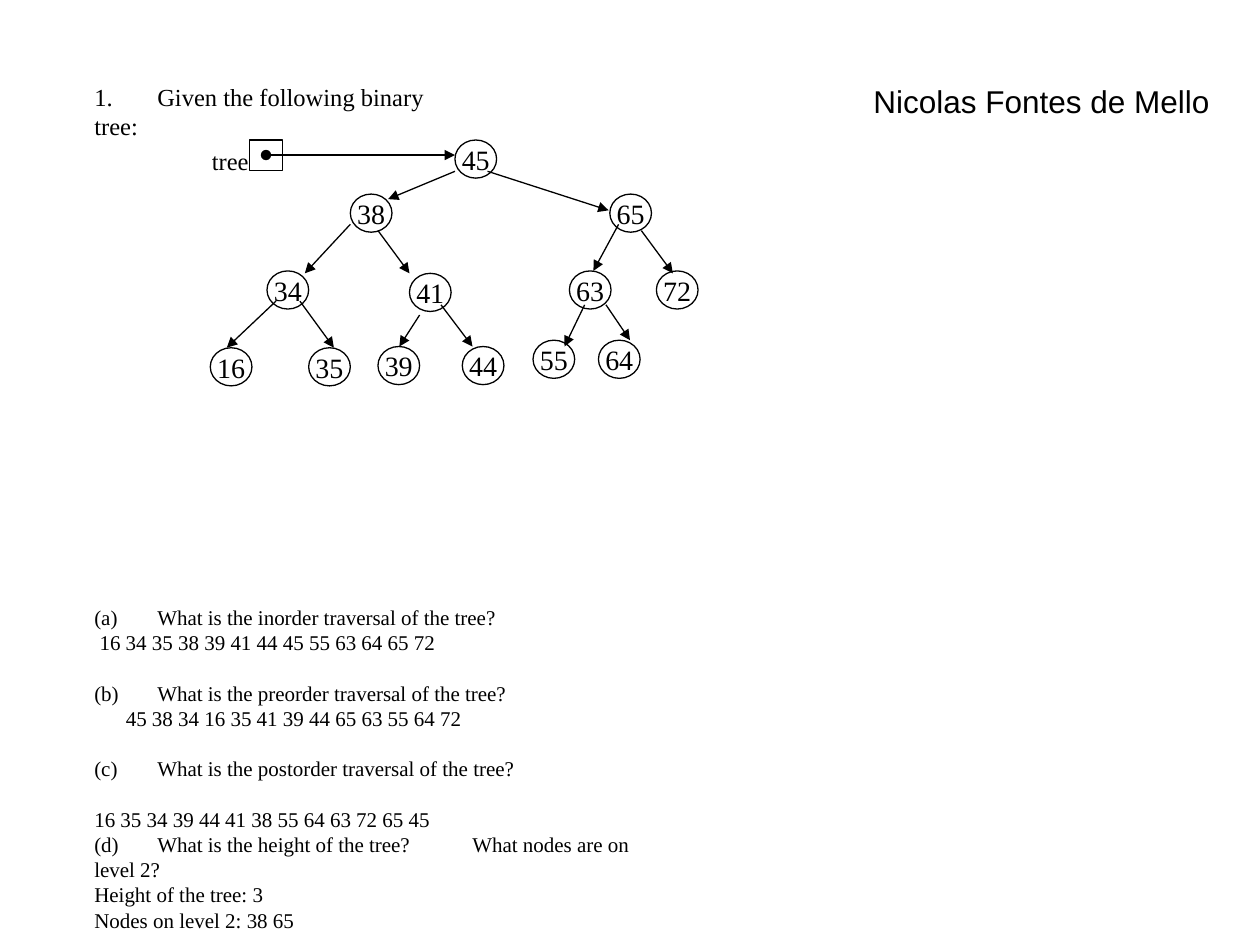
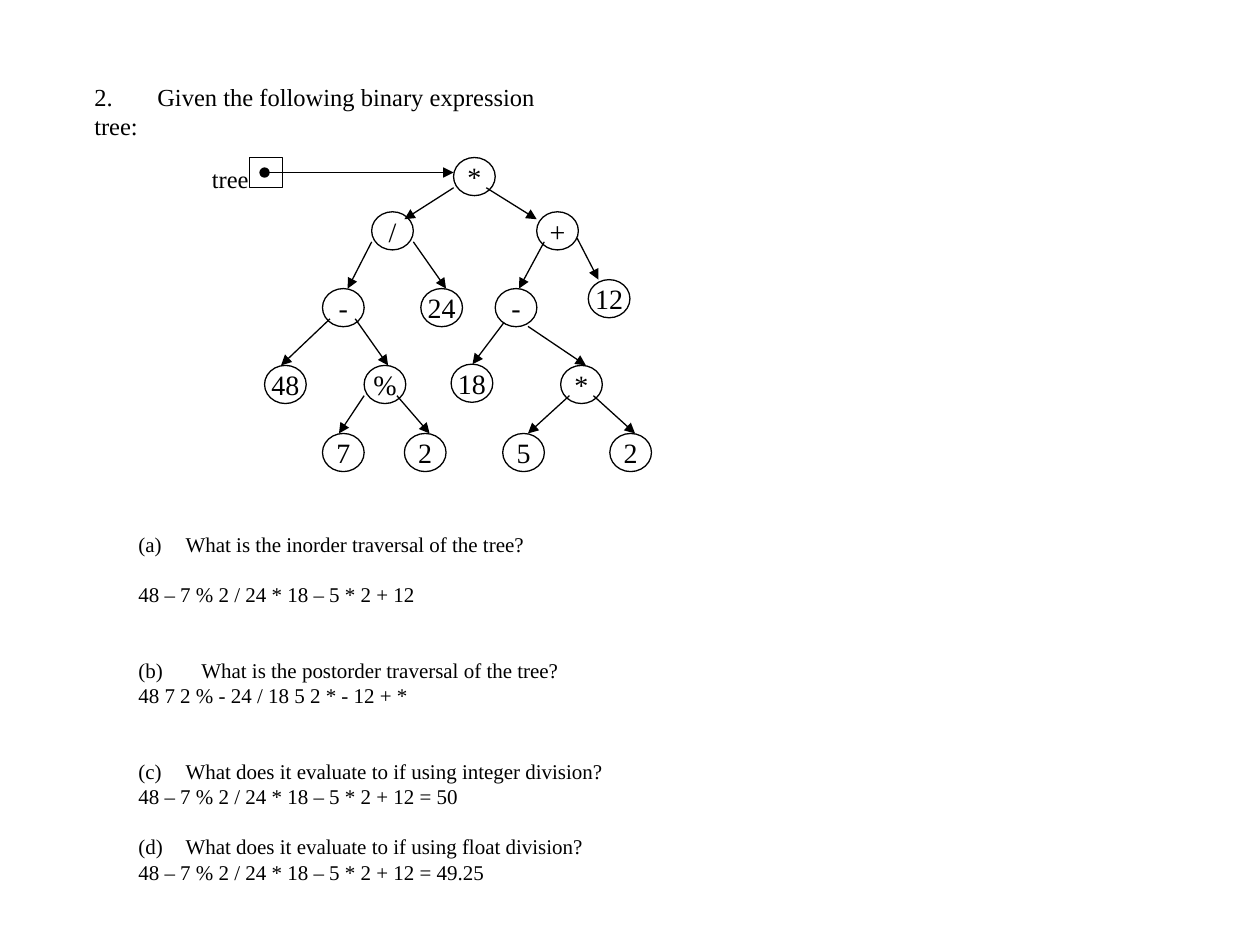
from lxml import etree
from pptx import Presentation
from pptx.dml.color import RGBColor
from pptx.enum.shapes import MSO_CONNECTOR, MSO_SHAPE
from pptx.enum.text import MSO_ANCHOR, PP_ALIGN
from pptx.oxml.ns import qn
from pptx.util import Pt

LEFT, CENTER = PP_ALIGN.LEFT, PP_ALIGN.CENTER
TOP, MIDDLE = MSO_ANCHOR.TOP, MSO_ANCHOR.MIDDLE
OVAL, RECTANGLE = MSO_SHAPE.OVAL, MSO_SHAPE.RECTANGLE
STRAIGHT = MSO_CONNECTOR.STRAIGHT

BLACK, WHITE = "000000", "FFFFFF"
SERIF, SANS = "Times New Roman", "Arial"
TITLE_SIZE, NODE_SIZE, BODY_SIZE, NAME_SIZE = 14, 16, 12, 18
LEADING = 1.2  # line height as a share of the text size
ROW = BODY_SIZE * LEADING
LINE_WIDTH = 0.75
NODE_WIDTH, NODE_HEIGHT = 23.8, 21.8


def color(value):
    return RGBColor.from_string(value)


def write(frame, text, size=BODY_SIZE, font=SERIF, align=LEFT, before=0,
          indent=0, tabs=(), number=None):
    """Add one paragraph; number starts a hanging (a), (b), (c) list item."""
    para = frame.paragraphs[0]
    if para.runs:
        para = frame.add_paragraph()
    para.alignment = align
    para.line_spacing = Pt(size * LEADING)
    para.space_before = Pt(before)
    span = para.add_run()
    span.text = text
    span.font.size, span.font.name = Pt(size), font
    span.font.color.rgb = color(BLACK)

    properties = para._p.get_or_add_pPr()
    properties.set("marL", str(Pt(indent)))
    properties.set("indent", str(Pt(-indent if number else 0)))
    if number:
        etree.SubElement(properties, qn("a:buAutoNum"),
                         type="alphaLcParenBoth", startAt=str(number))
    if tabs:
        stops = etree.SubElement(properties, qn("a:tabLst"))
        for stop in tabs:
            etree.SubElement(stops, qn("a:tab"), pos=str(Pt(stop)), algn="l")


def add_text(shapes, box, wrap=True):
    frame = shapes.add_textbox(*map(Pt, box)).text_frame
    frame.word_wrap = wrap
    frame.vertical_anchor = TOP
    return frame


def add_outline(shapes, kind, box):
    shape = shapes.add_shape(kind, *map(Pt, box))
    shape.shadow.inherit = False
    shape.fill.background()
    shape.line.color.rgb = color(BLACK)
    shape.line.width = Pt(LINE_WIDTH)
    return shape


def add_arrow(shapes, start, tip, dot=False):
    arrow = shapes.add_connector(STRAIGHT, *map(Pt, (*start, *tip)))
    arrow.line.color.rgb = color(BLACK)
    arrow.line.width = Pt(LINE_WIDTH)
    line = arrow.line._get_or_add_ln()
    if dot:
        etree.SubElement(line, qn("a:headEnd"), type="oval")
    etree.SubElement(line, qn("a:tailEnd"), type="triangle")
    etree.SubElement(arrow._element.spPr, qn("a:effectLst"))


def add_tree(page, left, top, nodes):
    """Draw the tree pointer and each node with the arrow that leads to it."""
    shapes = page.shapes.add_group_shape().shapes

    # Pointer variable
    add_outline(shapes, RECTANGLE, (left + 28.6, top, 18.7, 17.3))
    label = add_text(shapes, (left, top, 35.3, 23.8), wrap=False)
    write(label, "tree", size=TITLE_SIZE)

    # Nodes and arrows; the first node is the root
    for index, (value, corner, start, tip) in enumerate(nodes):
        x, y = left + corner[0], top + corner[1]
        node = add_outline(shapes, OVAL, (x, y, NODE_WIDTH, NODE_HEIGHT))
        frame = node.text_frame
        frame.word_wrap = False
        frame.vertical_anchor = MIDDLE
        write(frame, value, size=NODE_SIZE, align=CENTER)
        add_arrow(shapes, (left + start[0], top + start[1]),
                  (left + tip[0], top + tip[1]), dot=index == 0)


def add_answers(page, box, rows):
    frame = add_text(page.shapes, box)
    for text, options in rows:
        write(frame, text, **options)


def add_exercise(deck, title, title_width, tree_top, nodes, answer_box, rows):
    page = deck.slides.add_slide(deck.slide_layouts[6])
    page.background.fill.solid()
    page.background.fill.fore_color.rgb = color(WHITE)
    heading = add_text(page.shapes, (46.8, 43.2, title_width, 24))
    write(heading, title, size=TITLE_SIZE, tabs=[17.6])
    add_answers(page, answer_box, rows)
    add_tree(page, 114, tree_top, nodes)
    return page


# Each node: value, top left corner, arrow start, arrow tip
SEARCH_TREE = [
    ("45", (146, 0), (38, 8.6), (146, 8.6)),
    ("38", (86.2, 30.9), (146, 17.9), (107.8, 33.8)),
    ("65", (234.5, 30.9), (164.6, 17.9), (233.8, 40.2)),
    ("34", (38.6, 74.8), (86.2, 48.2), (60.2, 76.2)),
    ("41", (120, 76.2), (102, 51.8), (120, 76.2)),
    ("63", (211.4, 74.8), (239.5, 48.2), (225.1, 74.8)),
    ("72", (261.1, 74.8), (252.5, 51.8), (270.5, 76.2)),
    ("16", (6.2, 118.7), (43.7, 92.1), (15.6, 118.7)),
    ("35", (62.4, 118.7), (57.4, 92.1), (76.8, 118.7)),
    ("39", (102, 118), (125.8, 100), (114.2, 118)),
    ("44", (150.2, 118), (138, 94.2), (156, 118)),
    ("55", (190.6, 114.4), (220.1, 94.2), (208.6, 118)),
    ("64", (228, 114.4), (232.3, 94.2), (246, 114.4)),
]
EXPRESSION_TREE = [
    ("*", (145.2, 0), (37.2, 8.6), (145.2, 8.6)),
    ("/", (98.4, 31), (145.2, 17.3), (117.1, 35.3)),
    ("+", (192.7, 31), (163.9, 17.3), (192.7, 35.3)),
    ("-", (70.3, 74.9), (98.4, 48.2), (84.7, 74.9)),
    ("24", (126.5, 74.9), (122.2, 48.2), (140.9, 74.9)),
    ("-", (169, 74.9), (197, 48.2), (182.6, 74.9)),
    ("12", (222.2, 69.8), (215.8, 46.1), (228, 69.8)),
    ("48", (37.2, 118.8), (74.6, 92.2), (46.6, 118.8)),
    ("%", (94.1, 118.8), (89, 92.2), (107.8, 118.8)),
    ("18", (143.8, 118.1), (174, 94.3), (156, 118.1)),
    ("*", (206.4, 118.8), (187.7, 96.5), (220.8, 118.8)),
    ("7", (70.3, 157.7), (94.1, 136.1), (79.7, 157.7)),
    ("2", (117.1, 157.7), (112.8, 136.1), (131.5, 157.7)),
    ("5", (173.3, 157.7), (211.4, 136.1), (187.7, 157.7)),
    ("2", (234.5, 157.7), (225.1, 136.1), (248.9, 157.7)),
]

# Questions and answers with their paragraph format
SEARCH_ROWS = [
    ("(a)\tWhat is the inorder traversal of the tree?", {"tabs": [19.4]}),
    ("16 34 35 38 39 41 44 45 55 63 64 65 72", {"indent": 3}),
    ("(b)\tWhat is the preorder traversal of the tree?",
     {"tabs": [20], "before": ROW}),
    ("45 38 34 16 35 41 39 44 65 63 55 64 72", {"indent": 18}),
    ("(c)\tWhat is the postorder traversal of the tree?",
     {"tabs": [19.4], "before": ROW}),
    ("16 35 34 39 44 41 38 55 64 63 72 65 45", {"before": ROW}),
    ("(d)\tWhat is the height of the tree?\tWhat nodes are on level 2?",
     {"tabs": [18, 171.4]}),
    ("Height of the tree: 3", {}),
    ("Nodes on level 2: 38 65", {}),
]
INFIX = "48 – 7 % 2 / 24 * 18 – 5 * 2 + 12"
EXPRESSION_ROWS = [
    ("What is the inorder traversal of the tree?",
     {"number": 1, "indent": 27}),
    (INFIX, {"before": ROW}),
    ("(b)\tWhat is the postorder traversal of the tree?",
     {"tabs": [20], "before": 2 * ROW}),
    ("48 7 2 % - 24 / 18 5 2 * - 12 + *", {}),
    ("What does it evaluate to if using integer division?",
     {"number": 3, "indent": 27, "before": 2 * ROW}),
    (INFIX + " = 50", {}),
    ("What does it evaluate to if using float division?",
     {"number": 4, "indent": 27, "before": ROW}),
    (INFIX + " = 49.25", {}),
]

deck = Presentation()
deck.slide_width, deck.slide_height = Pt(720), Pt(540)

# Slide 1: search tree, with the student's name
first = add_exercise(deck, "1.\tGiven the following binary tree:", 212.4, 80,
                     SEARCH_TREE, (46.8, 342, 320.4, 181.4), SEARCH_ROWS)
write(add_text(first.shapes, (492, 43.2, 228, 28.8)),
      "Nicolas Fontes de Mello", size=NAME_SIZE, font=SANS)

# Slide 2: expression tree
add_exercise(deck, "2.\tGiven the following binary expression tree:", 275.8, 90,
             EXPRESSION_TREE, (72, 300.2, 283.7, 239.8), EXPRESSION_ROWS)

deck.save("out.pptx")
